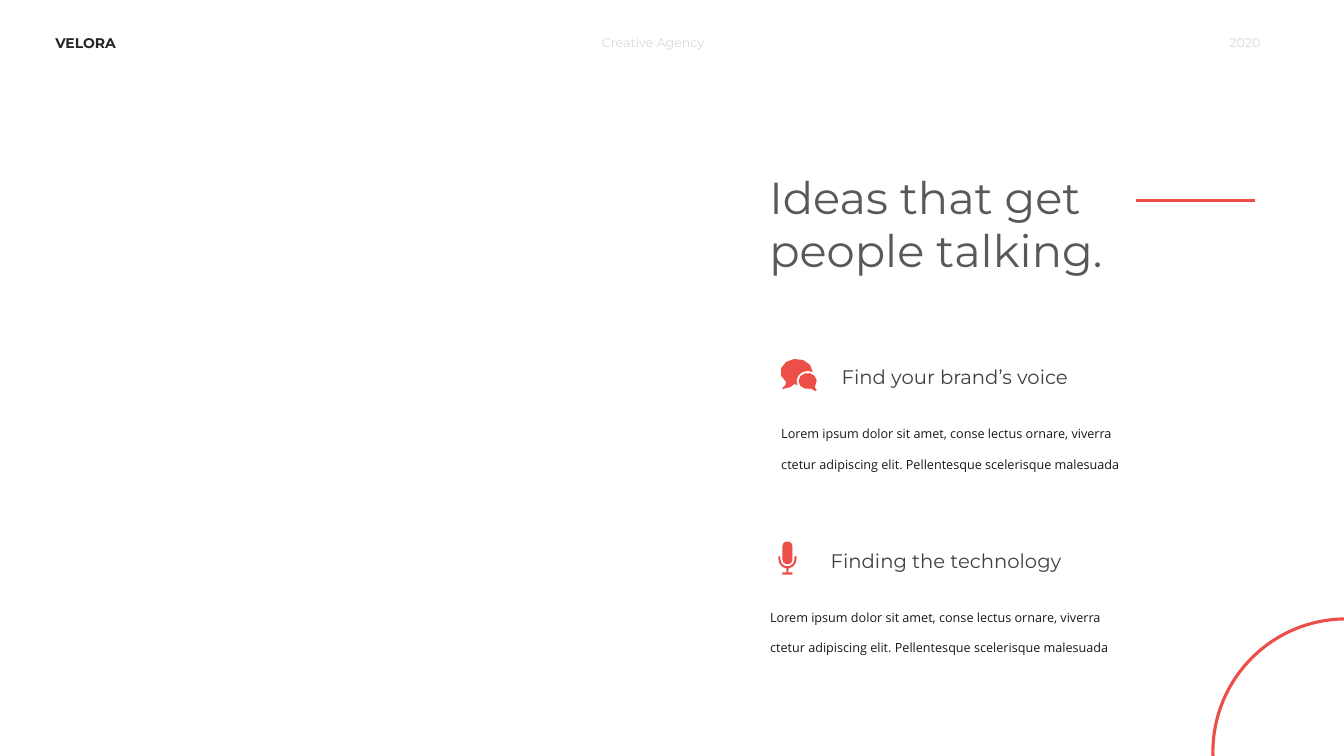
"""Build the "Ideas that get people talking." agency slide."""
import math

import pptx
import pptx.dml.color
import pptx.enum.shapes
import pptx.enum.text
import pptx.oxml
import pptx.util

Inches = pptx.util.Inches
LEFT = pptx.enum.text.PP_ALIGN.LEFT
RIGHT = pptx.enum.text.PP_ALIGN.RIGHT

COLORS = {"accent": "EB4F48", "brand": "262626", "header": "D9D9D9",
          "title": "595959", "heading": "404040", "body": "181818"}
STYLES = {
    "brand": {"size": 10, "font": "Montserrat", "bold": True},
    "header": {"size": 9, "font": "Montserrat"},
    "title": {"size": 32, "font": "Montserrat"},
    "heading": {"size": 14, "font": "Montserrat"},
    "body": {"size": 9, "font": "Open Sans", "spacing": 2},
}
TITLE = ("Ideas that get people talking.", (7.53, 1.63, 4.49, 1.18))
HEADER = [
    ("VELORA", "brand", (0.45, 0.29, 1.07, 0.27), LEFT),
    ("Creative Agency", "header", (5.87, 0.3, 1.58, 0.25), LEFT),
    ("2020", "header", (11.02, 0.3, 1.58, 0.25), RIGHT),
]
LOREM = ("Lorem ipsum dolor sit amet, conse lectus ornare, viverra "
         "ctetur adipiscing elit. Pellentesque scelerisque malesuada")


def arc(x, y, rx, ry, start, end):
    """Return points along an elliptical arc, with angles in degrees."""
    steps = math.ceil(abs(end - start) / 36)
    angles = [math.radians(start + (end - start) * i / steps) for i in range(steps + 1)]
    return [(x + rx * math.cos(a), y + ry * math.sin(a)) for a in angles]


SPEECH_BUBBLES = [
    arc(8.01, 3.78, 0.09, 0.08, 75, 390)
    + [(8.08, 3.84), (8.1, 3.87), (8.09, 3.88), (8.03, 3.85)],
    arc(7.9, 3.69, 0.16, 0.13, 130, 360)
    + arc(8.01, 3.78, 0.11, 0.1, 300, 155)
    + [(7.88, 3.81), (7.84, 3.84), (7.76, 3.86), (7.76, 3.85), (7.79, 3.82)],
]
MICROPHONE = [
    arc(7.81, 5.42, 0.05, 0.05, 180, 360) + arc(7.81, 5.55, 0.05, 0.05, 0, 180),
    [(7.72, 5.52), (7.74, 5.52)]
    + arc(7.81, 5.55, 0.07, 0.07, 180, 0)
    + [(7.88, 5.52), (7.9, 5.52)]
    + arc(7.81, 5.55, 0.09, 0.09, 0, 83)
    + [(7.82, 5.68), (7.86, 5.68), (7.86, 5.7), (7.76, 5.7), (7.76, 5.68), (7.8, 5.68)]
    + arc(7.81, 5.55, 0.09, 0.09, 97, 180),
]
IDEAS = [
    ("Find your brand’s voice", (8.25, 3.57, 2.91, 0.34), (7.65, 4.03, 3.62, 0.66), SPEECH_BUBBLES),
    ("Finding the technology", (8.14, 5.4, 2.95, 0.34), (7.54, 5.85, 3.62, 0.66), MICROPHONE),
]


def color(name):
    return pptx.dml.color.RGBColor.from_string(COLORS[name])


def write(shape, text, style, align=LEFT):
    look = STYLES[style]
    frame = shape.text_frame
    frame.text = text
    frame.word_wrap = True
    frame.auto_size = pptx.enum.text.MSO_AUTO_SIZE.SHAPE_TO_FIT_TEXT
    frame.vertical_anchor = pptx.enum.text.MSO_ANCHOR.TOP
    paragraph = frame.paragraphs[0]
    paragraph.alignment = align
    paragraph.line_spacing = look.get("spacing")
    paragraph.font.size = pptx.util.Pt(look["size"])
    paragraph.font.name = look["font"]
    paragraph.font.bold = look.get("bold", False)
    paragraph.font.color.rgb = color(style)


def add_text(slide, text, style, box, align=LEFT):
    write(slide.shapes.add_textbox(*map(Inches, box)), text, style, align)


def add_icon(slide, contours):
    outlines = [[(Inches(x), Inches(y)) for x, y in contour] for contour in contours]
    builder = slide.shapes.build_freeform(*outlines[0][0])
    builder.add_line_segments(outlines[0][1:], close=True)
    for outline in outlines[1:]:
        builder.move_to(*outline[0])
        builder.add_line_segments(outline[1:], close=True)
    icon = builder.convert_to_shape()
    icon.shadow.inherit = False
    icon.fill.solid()
    icon.fill.fore_color.rgb = color("accent")
    icon.line.fill.background()


def accent_line(line):
    line.color.rgb = color("accent")
    line.width = pptx.util.Pt(2.25)


def main():
    deck = pptx.Presentation()
    deck.slide_width, deck.slide_height = Inches(13.33), Inches(7.5)
    slide = deck.slides.add_slide(deck.slide_layouts[5])

    title = slide.shapes.title
    title.left, title.top, title.width, title.height = map(Inches, TITLE[1])
    write(title, TITLE[0], "title")

    for text, style, box, align in HEADER:
        add_text(slide, text, style, box, align)

    rule = slide.shapes.add_connector(
        pptx.enum.shapes.MSO_CONNECTOR.STRAIGHT,
        Inches(11.27), Inches(1.99), Inches(12.45), Inches(1.99))
    accent_line(rule.line)
    rule._element.spPr.append(pptx.oxml.parse_xml(
        '<a:effectLst xmlns:a="http://schemas.openxmlformats.org/drawingml/2006/main"/>'))

    for heading, heading_box, body_box, icon in IDEAS:
        add_text(slide, LOREM, "body", body_box)
        add_text(slide, heading, "heading", heading_box)
        add_icon(slide, icon)

    circle = slide.shapes.add_shape(
        pptx.enum.shapes.MSO_SHAPE.OVAL,
        Inches(12.03), Inches(6.14), Inches(2.64), Inches(2.64))
    circle.shadow.inherit = False
    circle.fill.background()
    accent_line(circle.line)

    deck.save("out.pptx")


if __name__ == "__main__":
    main()
